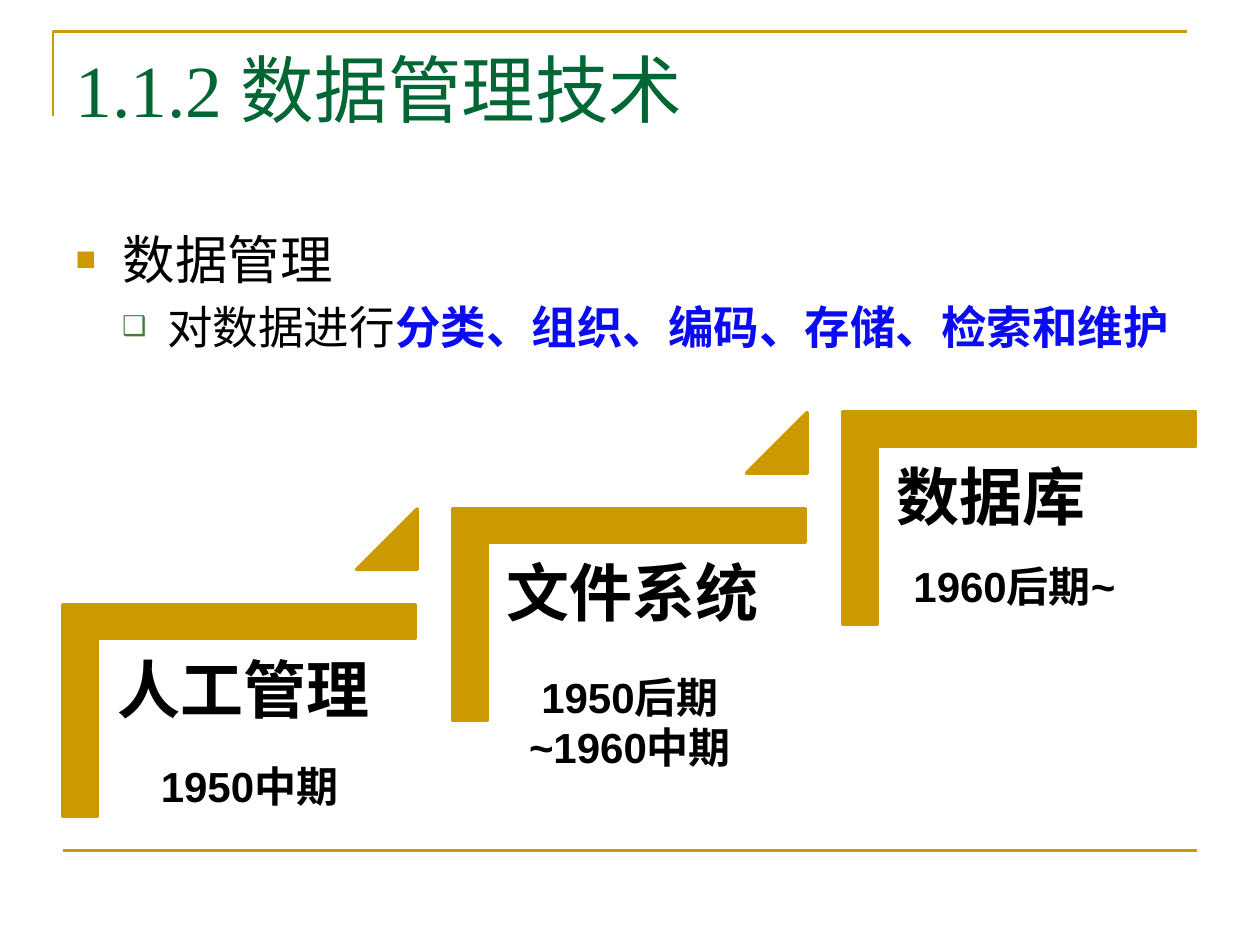
from dataclasses import dataclass

from lxml.etree import SubElement
from pptx import Presentation
from pptx.dml.color import RGBColor as Color
from pptx.enum.shapes import MSO_CONNECTOR as Connector, MSO_SHAPE as Shape
from pptx.enum.text import MSO_ANCHOR as Anchor, MSO_AUTO_SIZE as AutoSize, PP_ALIGN as Align
from pptx.oxml.ns import qn
from pptx.util import Cm, Pt


@dataclass(frozen=True)
class Theme:
    gold: str = "CC9900"
    title_green: str = "006633"
    bullet_green: str = "3B812F"
    black: str = "000000"
    blue: str = "0C0CF2"
    title_font: str = "Times New Roman"
    body_font: str = "Arial"
    title_size: int = 42
    topic_size: int = 30
    detail_size: int = 26
    stage_size: int = 36
    date_size: int = 24
    rule_width: float = 1.5
    outline_width: float = 2


class SlideBuilder:
    def __init__(self, slide, theme):
        self.slide = slide
        self.theme = theme
        self.staircase = None

    def style_run(self, run, size, color=None, font=None, bold=False):
        run.font.size = Pt(size)
        run.font.name = font or self.theme.body_font
        run.font.bold = bold
        run.font.color.rgb = Color.from_string(color or self.theme.black)

    def style_line(self, shape, width):
        shape.line.color.rgb = Color.from_string(self.theme.gold)
        shape.line.width = Pt(width)

    def place(self, shape, left, top, width, height):
        shape.left, shape.top = Cm(left), Cm(top)
        shape.width, shape.height = Cm(width), Cm(height)
        text_frame = shape.text_frame
        text_frame.word_wrap = True
        text_frame.auto_size = AutoSize.NONE
        text_frame.vertical_anchor = Anchor.TOP
        return text_frame

    def title(self, text, *box):
        text_frame = self.place(self.slide.shapes.title, *box)
        text_frame.text = text
        paragraph = text_frame.paragraphs[0]
        paragraph.alignment = Align.LEFT
        self.style_run(paragraph.runs[0], self.theme.title_size,
                       self.theme.title_green, self.theme.title_font)

    def body(self, topic, detail, emphasis, *box):
        theme = self.theme
        text_frame = self.place(self.slide.placeholders[1], *box)
        text_frame.text = topic
        first = text_frame.paragraphs[0]
        self.style_run(first.runs[0], theme.topic_size)
        self.bullet(first, "■", theme.gold, 65, 0.95, 0.95)
        second = text_frame.add_paragraph()
        second.text = detail
        second.level = 1
        self.style_run(second.runs[0], theme.detail_size)
        strong = second.add_run()
        strong.text = emphasis
        self.style_run(strong, theme.detail_size, theme.blue, bold=True)
        self.bullet(second, "❑", theme.bullet_green, 60, 1.85, 0.91)

    def bullet(self, paragraph, character, color, percent, margin, hanging):
        properties = paragraph._p.get_or_add_pPr()
        properties.set("marL", str(Cm(margin)))
        properties.set("indent", str(-Cm(hanging)))
        SubElement(SubElement(properties, qn("a:buClr")), qn("a:srgbClr"), val=color)
        SubElement(properties, qn("a:buSzPct"), val=str(percent * 1000))
        SubElement(properties, qn("a:buChar"), char=character)

    def frame_corner(self, start, *points):
        builder = self.slide.shapes.build_freeform(Cm(start[0]), Cm(start[1]))
        builder.add_line_segments([(Cm(x), Cm(y)) for x, y in points], close=False)
        shape = builder.convert_to_shape()
        shape.shadow.inherit = False
        shape.fill.background()
        self.style_line(shape, self.theme.rule_width)

    def rule(self, left, right, y):
        line = self.slide.shapes.add_connector(
            Connector.STRAIGHT, Cm(left), Cm(y), Cm(right), Cm(y))
        self.style_line(line, self.theme.rule_width)
        SubElement(line._element.spPr, qn("a:effectLst"))

    def begin_staircase(self):
        self.staircase = self.slide.shapes.add_group_shape()

    def gold_shape(self, kind, adjustments, left, top, width, height, rotation=0):
        shape = self.staircase.shapes.add_shape(
            kind, Cm(left), Cm(top), Cm(width), Cm(height))
        shape.rotation = rotation
        for index, value in enumerate(adjustments):
            shape.adjustments[index] = value
        shape.shadow.inherit = False
        shape.fill.solid()
        shape.fill.fore_color.rgb = Color.from_string(self.theme.gold)
        self.style_line(shape, self.theme.outline_width)

    def stage(self, name, left, top, has_next):
        self.gold_shape(Shape.CORNER, (0.161, 0.161),
                        left + 1.42, top - 1.42, 4.27, 7.11, rotation=90)
        box = self.staircase.shapes.add_textbox(0, 0, 0, 0)
        text_frame = self.place(box, left + 0.71, top + 0.71, 6.43, 5.61)
        text_frame.margin_left = text_frame.margin_right = Cm(0.38)
        text_frame.margin_top = text_frame.margin_bottom = Cm(0.38)
        text_frame.text = name
        paragraph = text_frame.paragraphs[0]
        paragraph.line_spacing = 0.9
        self.style_run(paragraph.runs[0], self.theme.stage_size, bold=True)
        if has_next:
            self.gold_shape(Shape.ISOSCELES_TRIANGLE, (1,),
                            left + 5.92, top - 1.93, 1.22, 1.22)

    def date(self, text, *box):
        text_frame = self.place(self.slide.shapes.add_textbox(0, 0, 0, 0), *box)
        text_frame.auto_size = AutoSize.SHAPE_TO_FIT_TEXT
        text_frame.text = text
        paragraph = text_frame.paragraphs[0]
        paragraph.alignment = Align.CENTER
        self.style_run(paragraph.runs[0], self.theme.date_size, bold=True)


def main():
    presentation = Presentation()
    presentation.slide_width, presentation.slide_height = Cm(25.4), Cm(19.05)
    slide = presentation.slides.add_slide(presentation.slide_layouts[1])
    builder = SlideBuilder(slide, Theme())

    builder.frame_corner((1.07, 2.34), (1.07, 0.64), (23.93, 0.64))
    builder.rule(1.27, 24.13, 17.15)
    builder.title("1.1.2 数据管理技术", 1.27, 0.76, 22.86, 3.18)
    builder.body("数据管理", "对数据进行", "分类、组织、编码、存储、检索和维护",
                 1.27, 4.45, 22.86, 12.57)

    stages = ("人工管理", "文件系统", "数据库")
    builder.begin_staircase()
    for index, name in enumerate(stages):
        builder.stage(name, 1.27 + 7.86 * index, 12.19 - 1.94 * index,
                      has_next=index < len(stages) - 1)

    builder.date("1950中期", 2.11, 15.21, 5.84, 1.27)
    builder.date("1950后期~1960中期", 9.78, 13.41, 5.84, 2.31)
    builder.date("1960后期~", 17.53, 11.18, 5.84, 1.27)
    presentation.save("out.pptx")


if __name__ == "__main__":
    main()
